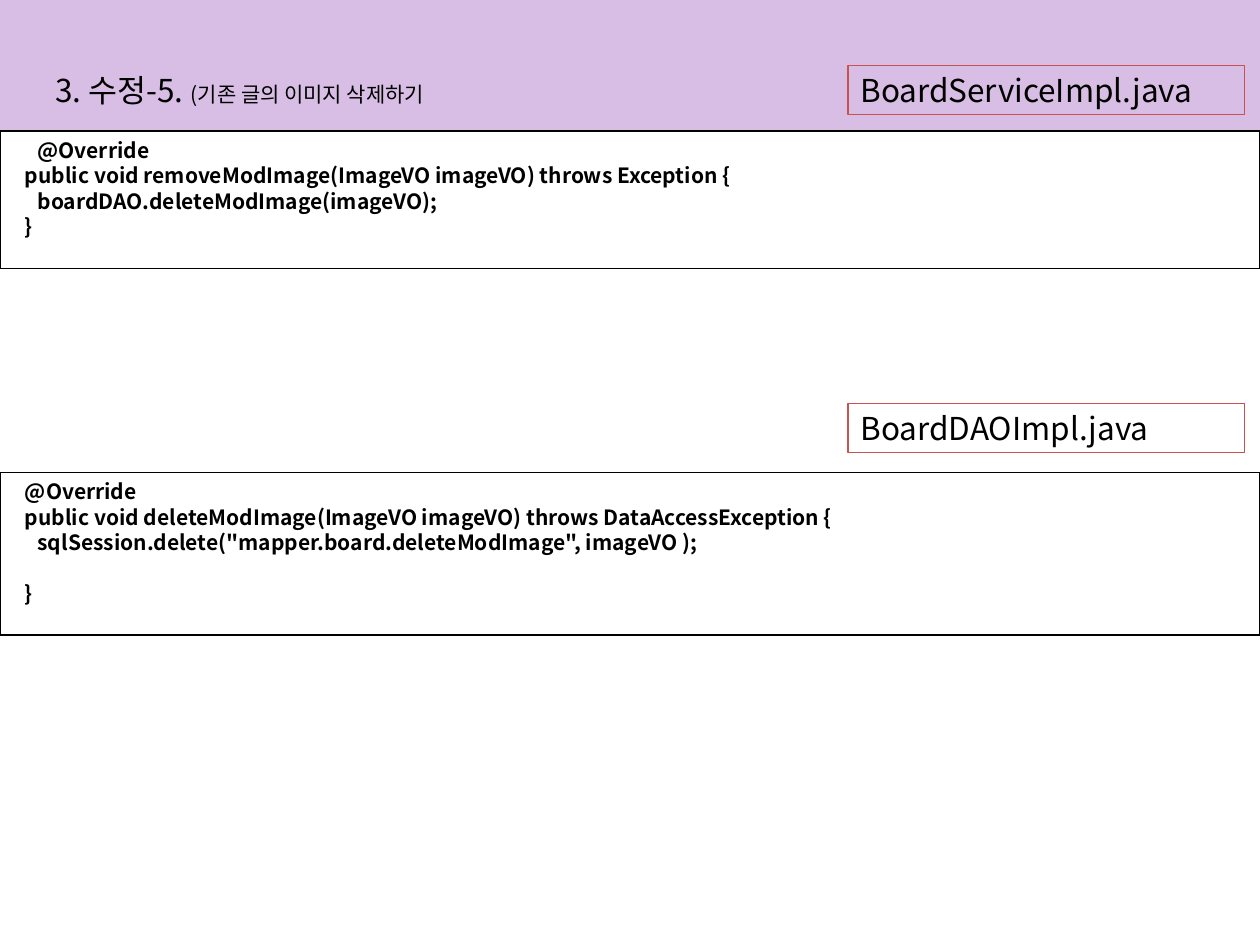
from pptx import Presentation
from pptx.dml.color import RGBColor
from pptx.enum.shapes import MSO_SHAPE as Shape
from pptx.enum.text import MSO_ANCHOR as Anchor, PP_ALIGN as Align
from pptx.util import Inches, Pt

FONT = "Noto Sans CJK KR"
WIDTH, HEIGHT = 10, 7.5
BAND_HEIGHT = 1.04
TITLE_TOP, LABEL_HEIGHT = 0.52, 0.39
LABEL_LEFT, LABEL_WIDTH = 6.73, 3.15
INDENT, LINE_PITCH = 0.1, 14.5

SERVICE_CODE = [
    (2, "@Override"),
    (1, "public void removeModImage(ImageVO imageVO) throws Exception {"),
    (2, "boardDAO.deleteModImage(imageVO);"),
    (1, "}"),
]
DAO_CODE = [
    (1, "@Override"),
    (1, "public void deleteModImage(ImageVO imageVO) throws DataAccessException {"),
    (2, 'sqlSession.delete("mapper.board.deleteModImage", imageVO );'),
    (0, ""),
    (1, "}"),
]


def color(value):
    return RGBColor.from_string(value)


def style(font, size, bold=False):
    font.name = FONT
    font.size = Pt(size)
    font.bold = bold
    font.color.rgb = color("000000")


def add_box(page, area, fill=None, line=None, kind=Shape.RECTANGLE):
    box = page.shapes.add_shape(kind, *map(Inches, area))
    box.shadow.inherit = False
    if fill:
        box.fill.solid()
        box.fill.fore_color.rgb = color(fill)
    else:
        box.fill.background()
    if line:
        box.line.color.rgb = color(line)
        box.line.width = Pt(0.75)
    else:
        box.line.fill.background()
    return box


def add_header(page, area):
    left, top, width, height = area
    add_box(page, area, fill="D8BEE4", kind=Shape.FLOWCHART_PROCESS)
    title = page.shapes.add_textbox(
        *map(Inches, (left + 0.34, top + TITLE_TOP, 5.13, LABEL_HEIGHT)))
    frame = title.text_frame
    frame.word_wrap = True
    frame.vertical_anchor = Anchor.MIDDLE
    para = frame.paragraphs[0]
    for text, size in [("3. 수정-5. ", 18), ("(기존 글의 이미지 삭제하기", 12)]:
        span = para.add_run()
        span.text = text
        style(span.font, size)


def add_file_label(page, area, name):
    frame = add_box(page, area, line="C75252").text_frame
    frame.word_wrap = True
    frame.vertical_anchor = Anchor.MIDDLE
    para = frame.paragraphs[0]
    para.text = name
    para.alignment = Align.LEFT
    style(para.font, 18)


def add_code(page, area, lines):
    frame = add_box(page, area, line="000000").text_frame
    frame.word_wrap = True
    frame.vertical_anchor = Anchor.TOP
    para, gap = frame.paragraphs[0], 0
    for number, (depth, text) in enumerate(lines):
        if not text:
            gap += LINE_PITCH
            continue
        if number:
            para = frame.add_paragraph()
        para.text = text
        para.alignment = Align.LEFT
        para.line_spacing = Pt(LINE_PITCH)
        para.space_before = Pt(gap)
        para._p.get_or_add_pPr().set("marL", str(Inches(depth * INDENT)))
        style(para.font, 12, bold=True)
        gap = 0


def main():
    deck = Presentation()
    deck.slide_width, deck.slide_height = Inches(WIDTH), Inches(HEIGHT)
    page = deck.slides.add_slide(deck.slide_layouts[6])
    add_header(page, (0, 0, WIDTH, BAND_HEIGHT))
    sections = [
        ("BoardServiceImpl.java", TITLE_TOP, BAND_HEIGHT, 1.09, SERVICE_CODE),
        ("BoardDAOImpl.java", 3.2, 3.75, 1.29, DAO_CODE),
    ]
    for name, label_top, code_top, code_height, lines in sections:
        add_code(page, (0, code_top, WIDTH, code_height), lines)
        add_file_label(page, (LABEL_LEFT, label_top, LABEL_WIDTH, LABEL_HEIGHT), name)
    deck.save("out.pptx")


if __name__ == "__main__":
    main()
